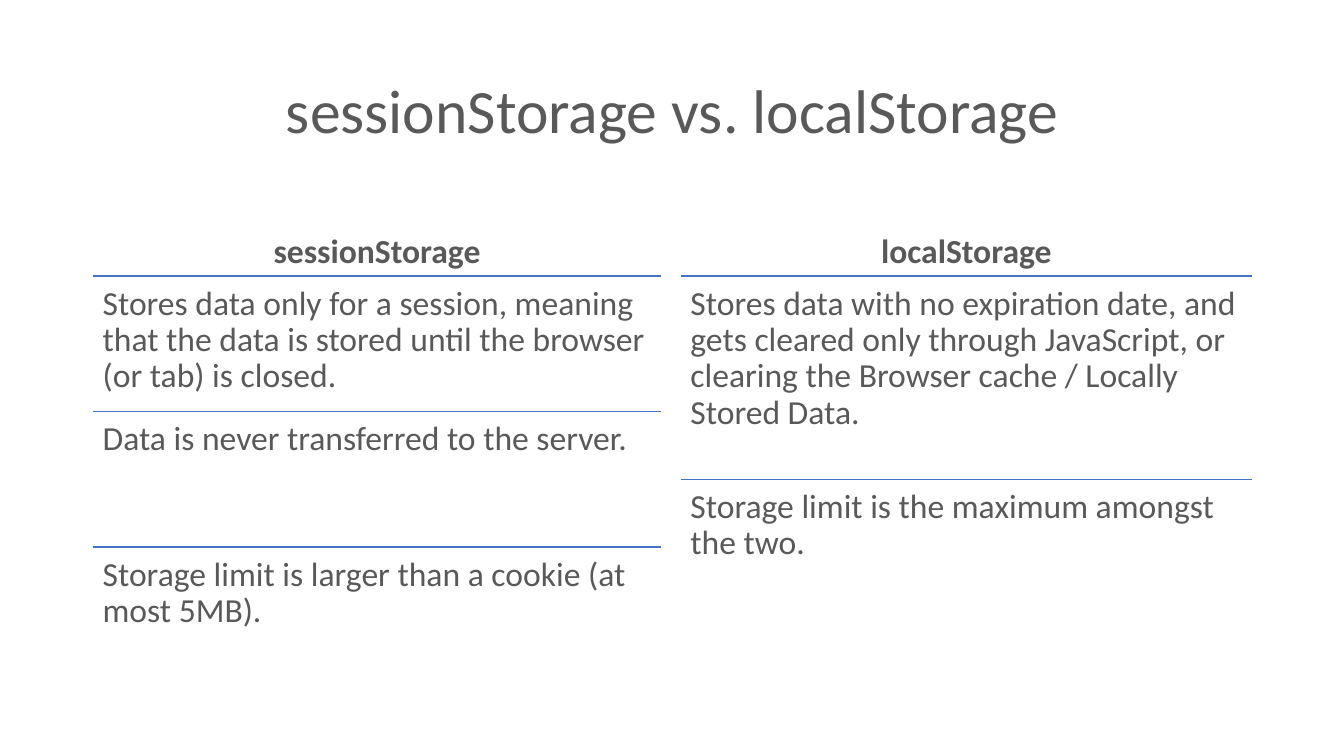
from lxml.etree import SubElement
from pptx import Presentation
from pptx.dml.color import RGBColor
from pptx.enum.shapes import MSO_CONNECTOR
from pptx.enum.text import MSO_ANCHOR, PP_ALIGN
from pptx.oxml.ns import qn
from pptx.util import Inches, Pt

# Content
TITLE = "sessionStorage vs. localStorage"
COLUMNS = [
    {"heading": "sessionStorage", "left": 0.92, "width": 5.64, "points": [
        "Stores data only for a session, meaning that the data is stored "
        "until the browser (or tab) is closed.",
        "Data is never transferred to the server.",
        "Storage limit is larger than a cookie (at most 5MB).",
    ]},
    {"heading": "localStorage", "left": 6.75, "width": 5.67, "points": [
        "Stores data with no expiration date, and gets cleared only through "
        "JavaScript, or clearing the Browser cache / Locally Stored Data.",
        "Storage limit is the maximum amongst the two.",
    ]},
]

# Style and layout, in inches
FONT, TEXT, RULE = "Calibri", "595959", "4472C4"
HEAD_TOP, HEAD_HEIGHT = 1.84, 0.9
BODY_TOP, BODY_HEIGHT = HEAD_TOP + HEAD_HEIGHT, 4.03


def color(hex_value):
    return RGBColor.from_string(hex_value)


def add_text(s, text, left, top, width, height, size=24, bold=False,
             align=PP_ALIGN.LEFT, anchor=MSO_ANCHOR.TOP, inset=0.05):
    sp = s.shapes.add_textbox(Inches(left), Inches(top), Inches(width), Inches(height))
    tf = sp.text_frame
    tf.word_wrap = True
    tf.vertical_anchor = anchor
    tf.margin_left = tf.margin_right = Inches(0.1)
    tf.margin_top = tf.margin_bottom = Inches(inset)
    p = tf.paragraphs[0]
    p.alignment = align
    p.line_spacing = 0.9
    r = p.add_run()
    r.text = text
    r.font.name = FONT
    r.font.size = Pt(size)
    r.font.bold = bold
    r.font.color.rgb = color(TEXT)


def add_rule(s, left, top, width):
    line = s.shapes.add_connector(MSO_CONNECTOR.STRAIGHT, Inches(left), Inches(top),
                                  Inches(left + width), Inches(top))
    line.line.color.rgb = color(RULE)
    line.line.width = Pt(1)
    SubElement(line._element.spPr, qn("a:effectLst"))


def add_column(s, heading, left, width, points):
    add_text(s, heading, left, HEAD_TOP, width, HEAD_HEIGHT, bold=True,
             align=PP_ALIGN.CENTER, anchor=MSO_ANCHOR.BOTTOM)
    # Points share the body height equally
    height = BODY_HEIGHT / len(points)
    for i, point in enumerate(points):
        top = BODY_TOP + i * height
        add_rule(s, left, top, width)
        add_text(s, point, left, top, width, height, inset=0.1)


def main():
    prs = Presentation()
    prs.slide_width, prs.slide_height = Inches(13.33), Inches(7.5)
    s = prs.slides.add_slide(prs.slide_layouts[6])
    add_text(s, TITLE, 0.92, 0.4, 11.5, 1.45, size=44,
             align=PP_ALIGN.CENTER, anchor=MSO_ANCHOR.MIDDLE)
    for column in COLUMNS:
        add_column(s, **column)
    prs.save("out.pptx")


if __name__ == "__main__":
    main()
